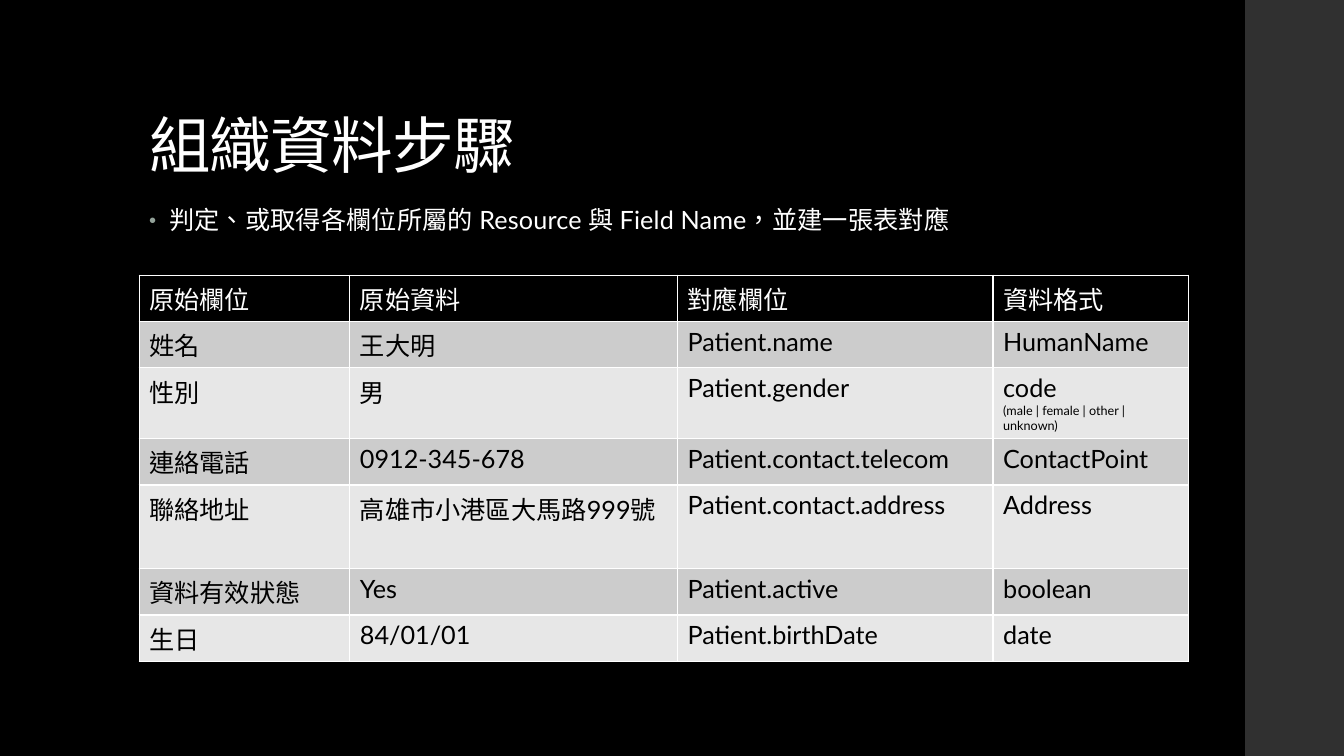
from lxml import etree
from pptx import Presentation
from pptx.dml.color import RGBColor
from pptx.enum.shapes import MSO_SHAPE
from pptx.enum.text import MSO_ANCHOR
from pptx.oxml.ns import qn
from pptx.util import Inches, Pt

COLORS = {
    "black": "000000",
    "white": "FFFFFF",
    "side": "303030",
    "bullet": "93A299",
    "odd": "CCCCCC",
    "even": "E7E7E7",
}
FONT = "Lato"


def add_run(paragraph, text, size, color, spacing=0):
    run = paragraph.add_run()
    run.text = text
    run.font.name = FONT
    run.font.size = Pt(size)
    run.font.color.rgb = RGBColor.from_string(COLORS[color])
    run.font._element.set("lang", "zh-TW")
    if spacing:
        run.font._element.set("spc", str(round(spacing * 100)))


def add_border(cell, side):
    properties = cell._tc.get_or_add_tcPr()
    line = etree.SubElement(properties, qn(f"a:ln{side}"), w=str(Pt(1)))
    fill = etree.SubElement(line, qn("a:solidFill"))
    etree.SubElement(fill, qn("a:srgbClr"), val=COLORS["white"])


presentation = Presentation()
presentation.slide_width = Inches(13.33)
presentation.slide_height = Inches(7.5)
slide = presentation.slides.add_slide(presentation.slide_layouts[6])

# Background and side band
slide.background.fill.solid()
slide.background.fill.fore_color.rgb = RGBColor.from_string(COLORS["black"])
band = slide.shapes.add_shape(
    MSO_SHAPE.RECTANGLE, Inches(12.35), 0, Inches(0.98), Inches(7.5))
band.shadow.inherit = False
band.fill.solid()
band.fill.fore_color.rgb = RGBColor.from_string(COLORS["side"])
band.line.fill.background()

# Title
title = slide.shapes.add_textbox(
    Inches(1.38), Inches(0.4), Inches(10.6), Inches(1.45))
title.text_frame.word_wrap = True
title.text_frame.vertical_anchor = MSO_ANCHOR.BOTTOM
paragraph = title.text_frame.paragraphs[0]
paragraph.line_spacing = 0.9
add_run(paragraph, "組織資料步驟", 44, "white", -0.5)

# Bullet line
body = slide.shapes.add_textbox(
    Inches(1.38), Inches(2), Inches(9.4), Inches(0.46))
body.text_frame.word_wrap = True
paragraph = body.text_frame.paragraphs[0]
paragraph.line_spacing = 0.95
paragraph.space_before = Pt(14)
paragraph.space_after = Pt(2)
properties = paragraph._p.get_or_add_pPr()
properties.set("marL", str(Inches(0.2)))
properties.set("indent", str(Inches(-0.2)))
bullet_color = etree.SubElement(properties, qn("a:buClr"))
etree.SubElement(bullet_color, qn("a:srgbClr"), val=COLORS["bullet"])
etree.SubElement(properties, qn("a:buSzPct"), val="80000")
etree.SubElement(properties, qn("a:buFont"), typeface="Arial")
etree.SubElement(properties, qn("a:buChar"), char="•")
add_run(paragraph, "判定、或取得各欄位所屬的 Resource 與 Field Name，並建一張表對應",
        18, "white", 0.1)

# Field mapping table: height of each row, then its texts
rows = [
    (0.46, ["原始欄位", "原始資料", "對應欄位", "資料格式"]),
    (0.46, ["姓名", "王大明", "Patient.name", "HumanName"]),
    (0.7, ["性別", "男", "Patient.gender", "code"]),
    (0.46, ["連絡電話", "0912-345-678", "Patient.contact.telecom", "ContactPoint"]),
    (0.83, ["聯絡地址", "高雄市小港區大馬路999號", "Patient.contact.address", "Address"]),
    (0.46, ["資料有效狀態", "Yes", "Patient.active", "boolean"]),
    (0.46, ["生日", "84/01/01", "Patient.birthDate", "date"]),
]
column_widths = [2.09, 3.25, 3.13, 1.94]
table = slide.shapes.add_table(
    len(rows), len(column_widths), Inches(1.38), Inches(2.73),
    Inches(sum(column_widths)), Inches(sum(height for height, _ in rows))).table
for column, width in zip(table.columns, column_widths):
    column.width = Inches(width)

for row_index, (height, texts) in enumerate(rows):
    table.rows[row_index].height = Inches(height)
    is_header = row_index == 0
    fill_name = "black" if is_header else "odd" if row_index % 2 else "even"
    for column_index, text in enumerate(texts):
        cell = table.cell(row_index, column_index)
        for side in "LRTB":
            add_border(cell, side)
        cell.fill.solid()
        cell.fill.fore_color.rgb = RGBColor.from_string(COLORS[fill_name])
        paragraph = cell.text_frame.paragraphs[0]
        add_run(paragraph, text, 18, "white" if is_header else "black")
        if text == "code":
            paragraph.add_line_break()
            add_run(paragraph, "(male | female | other | unknown)", 9, "black")

presentation.save("out.pptx")
